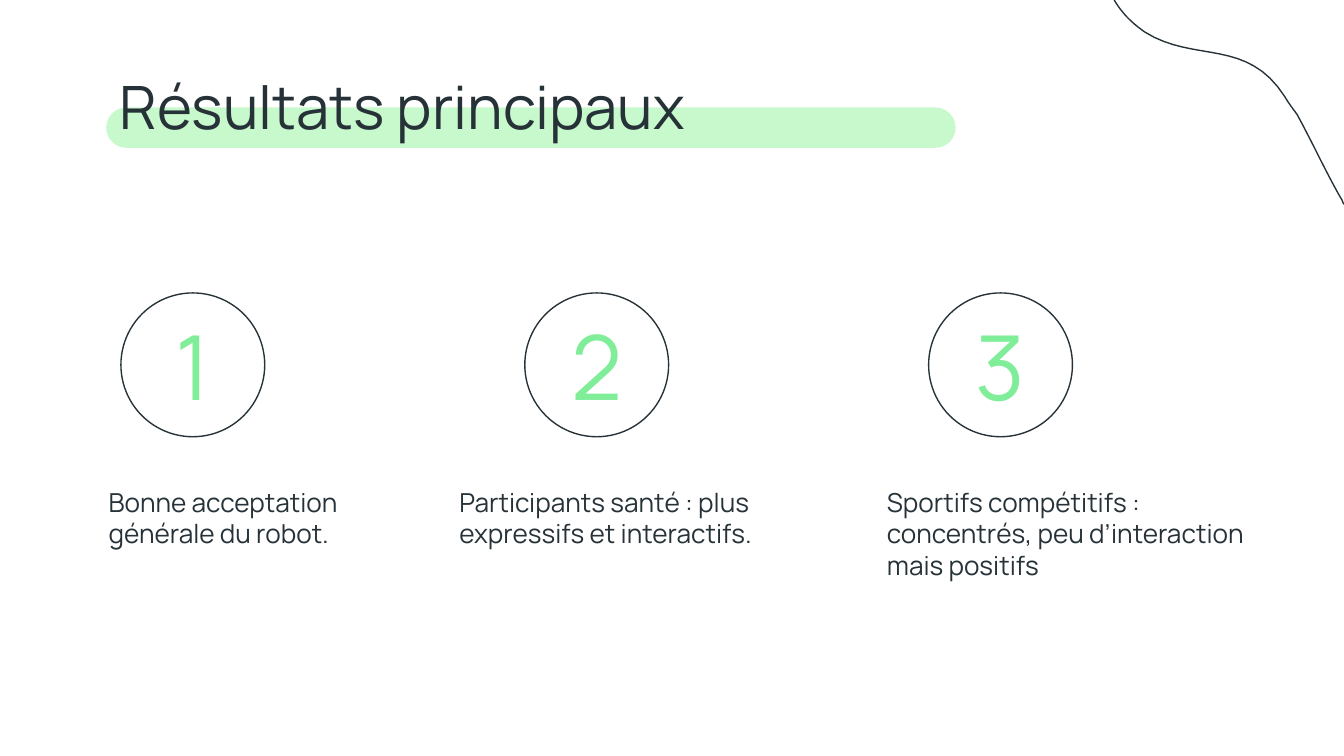
from pptx import Presentation
from pptx.dml.color import RGBColor
from pptx.enum.shapes import MSO_SHAPE as Shape
from pptx.enum.text import MSO_ANCHOR as Anchor, PP_ALIGN as Align
from pptx.util import Inches, Pt

INK = RGBColor(0x26, 0x32, 0x38)
GREEN = RGBColor(0x80, 0xED, 0x99)
PALE_GREEN = RGBColor(0xC7, 0xF9, 0xCC)

CURVE_START = (8.29, 0)
CURVE = [
    [(8.35, 0.1), (8.42, 0.17), (8.52, 0.24)],
    [(8.89, 0.47), (9.28, 0.28), (9.56, 0.72)],
    [(9.59, 0.77), (9.62, 0.81), (9.65, 0.85)],
    [(9.77, 1.07), (9.87, 1.29), (9.98, 1.48)],
    [(9.99, 1.49), (9.99, 1.51), (10, 1.52)],
]
RESULTS = [
    (0.71, 2.41, "Bonne acceptation générale du robot."),
    (3.32, 2.67, "Participants santé : plus expressifs et interactifs."),
    (6.5, 3.15, "Sportifs compétitifs : concentrés, peu d’interaction mais positifs"),
]
CIRCLE_LEFT, CIRCLE_STEP, CIRCLE_SIZE = 0.9, 3.005, 1.07


def bezier_points(start, segments, steps=16):
    points = []
    for first, second, end in segments:
        corners = (start, first, second, end)
        for step in range(1, steps + 1):
            t = step / steps
            weights = ((1 - t) ** 3, 3 * t * (1 - t) ** 2, 3 * t * t * (1 - t), t ** 3)
            points.append(tuple(
                Inches(sum(weight * corner[axis] for weight, corner in zip(weights, corners)))
                for axis in (0, 1)
            ))
        start = end
    return points


class SlideBuilder:
    """Holds the style and the current page."""

    font_name = "Manrope"
    line_width = Pt(0.75)

    def __init__(self, page):
        self.page = page

    def outline(self, shape):
        shape.shadow.inherit = False
        shape.fill.background()
        shape.line.color.rgb = INK
        shape.line.width = self.line_width

    def band(self, left, top, width, height):
        band = self.page.shapes.add_shape(
            Shape.ROUNDED_RECTANGLE, Inches(left), Inches(top), Inches(width), Inches(height))
        band.adjustments[0] = 0.5
        band.shadow.inherit = False
        band.fill.solid()
        band.fill.fore_color.rgb = PALE_GREEN
        band.line.fill.background()

    def circle(self, left, top, size):
        self.outline(self.page.shapes.add_shape(
            Shape.OVAL, Inches(left), Inches(top), Inches(size), Inches(size)))

    def curve(self, start, segments):
        left, top = start
        builder = self.page.shapes.build_freeform(Inches(left), Inches(top))
        builder.add_line_segments(bezier_points(start, segments), close=False)
        self.outline(builder.convert_to_shape())

    def text(self, left, top, width, height, words, size, color=INK,
             align=Align.LEFT, anchor=Anchor.TOP, space_after=0):
        box = self.page.shapes.add_textbox(
            Inches(left), Inches(top), Inches(width), Inches(height))
        frame = box.text_frame
        frame.word_wrap = True
        frame.vertical_anchor = anchor
        frame.margin_left = frame.margin_right = Inches(0.1)
        frame.margin_top = frame.margin_bottom = Inches(0.1)
        frame.text = words
        para = frame.paragraphs[0]
        para.alignment = align
        para.space_after = Pt(space_after)
        span = para.runs[0]
        span.font.name = self.font_name
        span.font.size = Pt(size)
        span.font.color.rgb = color


def main():
    deck = Presentation()
    deck.slide_width = Inches(10)
    deck.slide_height = deck.slide_width * 9 // 16
    slide = SlideBuilder(deck.slides.add_slide(deck.slide_layouts[6]))

    slide.band(0.79, 0.8, 6.32, 0.3)
    slide.curve(CURVE_START, CURVE)
    slide.text(0.79, 0.42, 8.43, 0.67, "Résultats principaux", 32)
    for index, (left, width, words) in enumerate(RESULTS):
        circle_left = CIRCLE_LEFT + index * CIRCLE_STEP
        slide.circle(circle_left, 2.18, CIRCLE_SIZE)
        slide.text(circle_left + 0.05, 2.33, 0.97, 0.77, str(index + 1), 48,
                   GREEN, Align.CENTER, Anchor.MIDDLE)
        slide.text(left, 3.52, width, 0.93, words, 14, space_after=16)

    deck.save("out.pptx")


if __name__ == "__main__":
    main()
